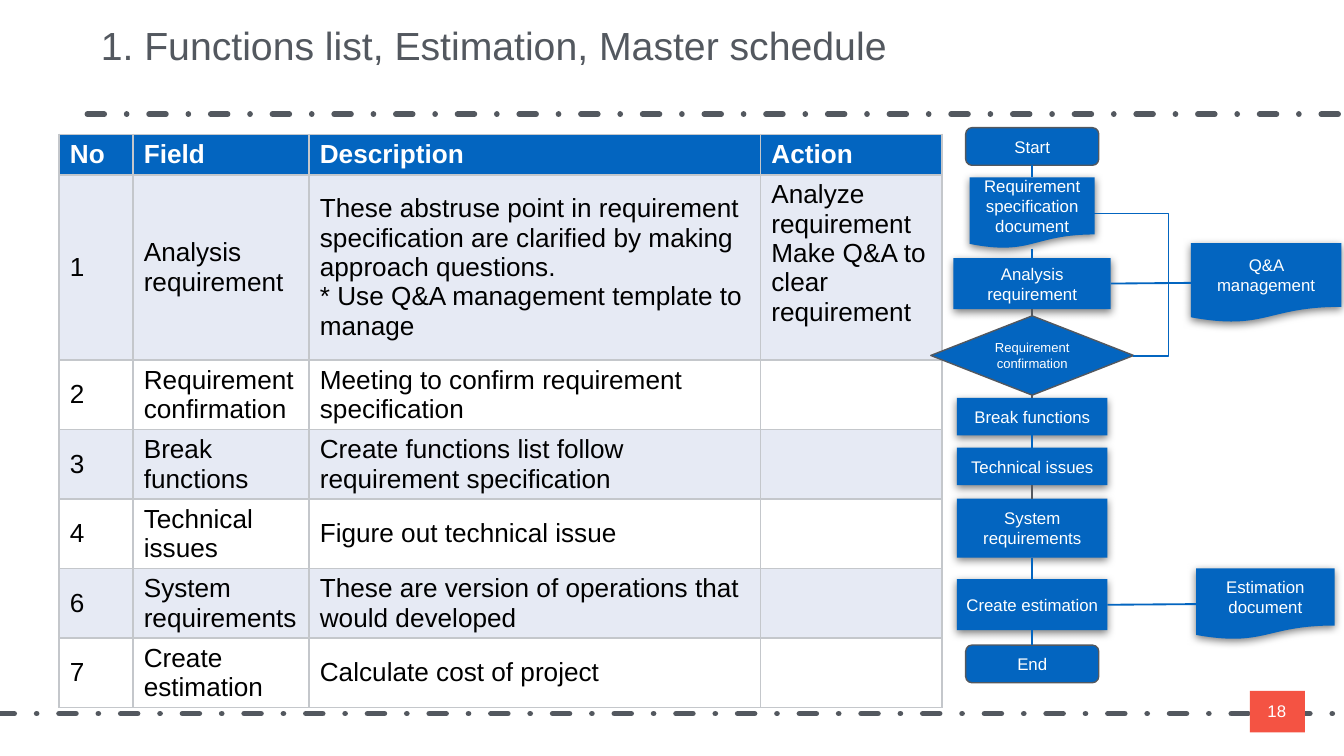
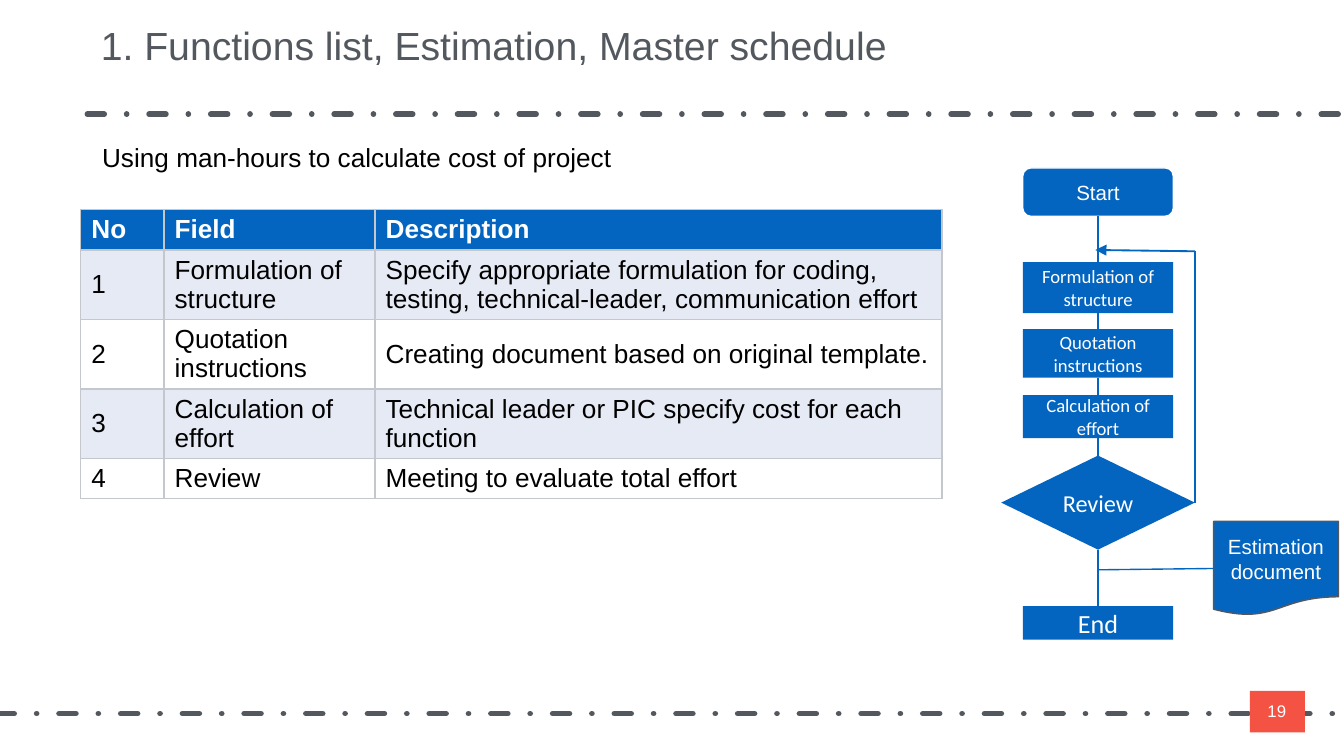
from dataclasses import dataclass
from itertools import pairwise

from lxml.etree import SubElement
from pptx import Presentation
from pptx.dml.color import RGBColor
from pptx.enum.dml import MSO_LINE
from pptx.enum.shapes import MSO_CONNECTOR, MSO_SHAPE
from pptx.enum.text import MSO_ANCHOR, MSO_AUTO_SIZE, PP_ALIGN
from pptx.oxml.ns import qn
from pptx.util import Inches, Pt

BLUE = RGBColor(0x03, 0x65, 0xC0)
GRAY = RGBColor(0x53, 0x58, 0x5F)
RED = RGBColor(0xF4, 0x53, 0x43)
WHITE = RGBColor(0xFF, 0xFF, 0xFF)
BLACK = RGBColor(0x00, 0x00, 0x00)
BAND = RGBColor(0xE6, 0xEA, 0xF4)
BORDER = RGBColor(0xC4, 0xC7, 0xCB)

RECT = MSO_SHAPE.RECTANGLE
ROUNDED = MSO_SHAPE.ROUNDED_RECTANGLE
DOCUMENT = MSO_SHAPE.FLOWCHART_DOCUMENT
DECISION = MSO_SHAPE.FLOWCHART_DECISION
DIAMOND = MSO_SHAPE.DIAMOND
STRAIGHT = MSO_CONNECTOR.STRAIGHT
ELBOW = MSO_CONNECTOR.ELBOW
DASH_DOT = MSO_LINE.DASH_DOT
MIDDLE, ANCHOR_TOP = MSO_ANCHOR.MIDDLE, MSO_ANCHOR.TOP
LEFT, CENTER = PP_ALIGN.LEFT, PP_ALIGN.CENTER
NO_FIT = MSO_AUTO_SIZE.NONE
SIDE_TOP, SIDE_LEFT, SIDE_BOTTOM, SIDE_RIGHT = range(4)

# The slide is a grid of 100 columns; rows are as tall as columns are wide
SLIDE_WIDTH = Inches(10)
SLIDE_HEIGHT = SLIDE_WIDTH * 9 // 16
TITLE_ONLY = 5
TITLE = "1. Functions list, Estimation, Master schedule"


def grid(cells):
    return round(SLIDE_WIDTH * cells / 100)


@dataclass
class Box:
    left: float
    top: float
    width: float
    height: float

    def inner(self, left, top, width, height):
        return Box(self.left + left, self.top + top, width, height)

    def point(self, across, down):
        return self.left + across, self.top + down

    def place(self):
        return [grid(n) for n in (self.left, self.top, self.width, self.height)]


@dataclass
class Look:
    size: float = 9
    font: str = "Arial"
    outline: RGBColor | None = None
    shadow: bool = False


def format_text(frame, size, color, font="Arial", align=LEFT, anchor=MIDDLE,
                insets=(0.07, 0.04)):
    frame.word_wrap = True
    frame.auto_size = NO_FIT
    frame.vertical_anchor = anchor
    frame.margin_left = frame.margin_right = Inches(insets[0])
    frame.margin_top = frame.margin_bottom = Inches(insets[1])
    for para in frame.paragraphs:
        para.alignment = align
        para.font.size = Pt(size)
        para.font.name = font
        para.font.color.rgb = color


def add_text(page, box, text, size, color, **options):
    label = page.shapes.add_textbox(*box.place())
    label.text_frame.text = text
    format_text(label.text_frame, size, color, **options)


def add_block(page, kind, box, fill, outline=None):
    block = page.shapes.add_shape(kind, *box.place())
    block.shadow.inherit = False
    block.fill.solid()
    block.fill.fore_color.rgb = fill
    if outline is None:
        block.line.fill.background()
    else:
        block.line.color.rgb = outline
        block.line.width = Pt(0.75)
    return block


def add_shadow(block):
    effects = block._element.spPr.find(qn("a:effectLst"))
    shadow = SubElement(effects, qn("a:outerShdw"), blurRad=str(Pt(4.5)),
                        dist=str(Pt(1.5)), dir="5400000", rotWithShape="0")
    color = SubElement(shadow, qn("a:srgbClr"), val=str(BLACK))
    SubElement(color, qn("a:alpha"), val="50000")


def add_step(page, kind, box, text, look):
    step = add_block(page, kind, box, BLUE, look.outline)
    if look.shadow:
        add_shadow(step)
    step.text_frame.text = text
    insets = (0.07, 0.07) if look.outline else (0.07, 0.04)
    format_text(step.text_frame, look.size, WHITE, look.font, CENTER, insets=insets)
    return step


def add_line(page, start, end, color=BLUE, width=1, kind=STRAIGHT):
    line = page.shapes.add_connector(kind, *map(grid, (*start, *end)))
    line.line.color.rgb = color
    line.line.width = Pt(width)
    SubElement(line._element.spPr, qn("a:effectLst"))
    return line


def join(page, first, first_side, second, second_side, color=BLUE, width=1):
    line = add_line(page, (0, 0), (0, 0), color, width)
    line.begin_connect(first, first_side)
    line.end_connect(second, second_side)


def add_frame(page, number):
    """Title, dashed rules and page number shared by the slides."""
    title = page.shapes.title
    title.left, title.top, title.width, title.height = Box(6.8, 2.3, 76.1, 3.2).place()
    title.text_frame.text = TITLE
    format_text(title.text_frame, 21, GRAY, insets=(0.07, 0.07))
    title.text_frame.paragraphs[0].line_spacing = 0.6

    for left, row in ((6.5, 8.5), (-0.2, 53.1)):
        rule = add_line(page, (left, row), (99.8, row), GRAY, 3)
        rule.line.dash_style = DASH_DOT
        rule.get_or_add_ln().set("cap", "rnd")

    badge = Box(93, 51.4, 4.1, 3.1)
    add_block(page, RECT, badge, RED)
    add_text(page, badge.inner(0.5, 0.4, 3, 2.2), str(number), 9, WHITE,
             align=CENTER, insets=(0.03, 0.03))


def format_cell(cell, text, row):
    # Borders come before the fill in the cell's properties
    properties = cell._tc.get_or_add_tcPr()
    for side in ("lnL", "lnR", "lnT", "lnB"):
        border = SubElement(properties, qn(f"a:{side}"), w=str(Pt(1)))
        fill = SubElement(border, qn("a:solidFill"))
        SubElement(fill, qn("a:srgbClr"), val=str(BORDER))
    cell.fill.solid()
    cell.fill.fore_color.rgb = BLUE if row == 0 else BAND if row % 2 else WHITE
    cell.margin_left = cell.margin_right = Inches(0.08)
    cell.margin_top = cell.margin_bottom = Inches(0.04)
    cell.vertical_anchor = MIDDLE if row else ANCHOR_TOP
    cell.text_frame.text = text
    for para in cell.text_frame.paragraphs:
        para.font.size = Pt(14)
        para.font.name = "Arial"
        para.font.bold = row == 0
        para.font.color.rgb = BLACK if row else WHITE


def add_grid_table(page, box, columns, heights, rows):
    table = page.shapes.add_table(len(rows), len(columns), *box.place()).table
    for column, width in zip(table.columns, columns):
        column.width = grid(width)
    for index, (height, texts) in enumerate(zip(heights, rows)):
        table.rows[index].height = grid(height)
        for column, text in enumerate(texts):
            format_cell(table.cell(index, column), text, index)
    return table


def add_chain(page, box, center, steps):
    """Steps of a flow centred on one column: kind, text, top, width, height, look."""
    return [add_step(page, kind, box.inner(center - width / 2, top, width, height),
                     text, look)
            for kind, text, top, width, height, look in steps]


def add_functions_flow(page, box):
    shaded = Look(shadow=True)
    outlined = Look(outline=GRAY)
    chain = add_chain(page, box, 7.8, [
        (ROUNDED, "Start", 0, 9.9, 2.8, outlined),
        (DOCUMENT, "Requirement specification document", 3.7, 9.3, 5.3, shaded),
        (RECT, "Analysis requirement", 9.7, 11.7, 3.8, shaded),
        (DECISION, "Requirement\nconfirmation", 14, 15.1, 5.9, Look(7, outline=GRAY)),
        (RECT, "Break functions", 20.1, 11.2, 2.8, shaded),
        (RECT, "Technical issues", 23.8, 11.2, 2.8, shaded),
        (RECT, "System requirements", 27.6, 11.2, 4.4, shaded),
        (RECT, "Create estimation", 33.6, 11.2, 3.8, shaded),
        (ROUNDED, "End", 38.5, 9.9, 2.8, outlined),
    ])
    gray_links = (2, 3, 5)
    for index, (upper, lower) in enumerate(pairwise(chain)):
        color, width = (GRAY, 0.75) if index in gray_links else (BLUE, 1)
        join(page, upper, SIDE_BOTTOM, lower, SIDE_TOP, color, width)

    # Side documents
    questions = add_step(page, DOCUMENT, box.inner(19.6, 8.6, 11.2, 5.9),
                         "Q&A management", shaded)
    estimate = add_step(page, DOCUMENT, box.inner(20, 32.8, 10.3, 5.3),
                        "Estimation document", shaded)
    join(page, chain[2], SIDE_RIGHT, questions, SIDE_LEFT)
    join(page, chain[7], SIDE_RIGHT, estimate, SIDE_LEFT)

    # Return from the decision, bending outside both ends
    back = add_line(page, box.point(15.3, 17), box.point(12.4, 6.4), width=0.75, kind=ELBOW)
    guides = back._element.spPr.find(qn("a:prstGeom")).get_or_add_avLst()
    SubElement(guides, qn("a:gd"), name="adj1", fmla="val -91100")


def add_cost_flow(page, box):
    center = 7.2
    plain = Look(10, "Calibri")
    chain = add_chain(page, box, center, [
        (ROUNDED, "Start", 0, 11.2, 3.6, Look(11, outline=WHITE)),
        (RECT, "Formulation of structure", 7, 11.2, 3.8, plain),
        (RECT, "Quotation instructions", 12, 11.2, 3.6, plain),
        (RECT, "Calculation of effort", 16.9, 11.2, 3.2, plain),
        (DIAMOND, "Review", 21.4, 14.4, 7, Look(13, "Calibri")),
        (RECT, "End", 32.6, 11.2, 2.5, Look(14, "Calibri")),
    ])
    for upper, lower in pairwise(chain):
        join(page, upper, SIDE_BOTTOM, lower, SIDE_TOP)

    # Loop back from the review
    corner = box.point(14.4, 6.2)
    rise = add_line(page, corner, corner)
    rise.begin_connect(chain[4], SIDE_RIGHT)
    arrow = add_line(page, corner, box.point(center - 0.2, 6.1))
    SubElement(arrow.get_or_add_ln(), qn("a:tailEnd"), type="triangle")

    # Resulting document
    estimate = add_step(page, DOCUMENT, box.inner(15.8, 26.3, 9.3, 7),
                        "Estimation document", Look(11, outline=GRAY))
    branch = box.point(center, 29.9)
    link = add_line(page, branch, branch, width=0.75)
    link.begin_connect(estimate, SIDE_LEFT)


def build_functions_page(page):
    add_frame(page, 18)
    rows = [
        ("No", "Field", "Description", "Action"),
        ("1", "Analysis requirement",
         "These abstruse point in requirement specification are clarified by making "
         "approach questions.\n* Use Q&A management template to manage",
         "Analyze requirement\nMake Q&A to clear requirement"),
        ("2", "Requirement confirmation", "Meeting to confirm requirement specification", ""),
        ("3", "Break functions", "Create functions list follow requirement specification", ""),
        ("4", "Technical issues", "Figure out technical issue", ""),
        ("6", "System requirements", "These are version of operations that would developed", ""),
        ("7", "Create estimation", "Calculate cost of project", ""),
    ]
    table = add_grid_table(page, Box(4.4, 10, 65.7, 42.5), (5.5, 13.1, 33.6, 13.5),
                           (3, 13.8, *[5.1] * 5), rows)
    table.cell(1, 3).vertical_anchor = ANCHOR_TOP
    add_functions_flow(page, Box(69, 9.5, 31, 41.5))


def build_cost_page(page):
    add_frame(page, 19)
    rows = [
        ("No", "Field", "Description"),
        ("1", "Formulation of structure",
         "Specify appropriate formulation for coding, testing, technical-leader, "
         "communication effort"),
        ("2", "Quotation instructions", "Creating document based on original template."),
        ("3", "Calculation of effort", "Technical leader or PIC specify cost for each function"),
        ("4", "Review", "Meeting to evaluate total effort"),
    ]
    add_text(page, Box(6.9, 10.1, 63.7, 3), "Using man-hours to calculate cost of project",
             14, BLACK, anchor=ANCHOR_TOP)
    add_grid_table(page, Box(6, 15.6, 64.1, 21.4), (6.2, 15.7, 42.2),
                   (3, *[5.1] * 3, 3), rows)
    add_cost_flow(page, Box(74.5, 12.5, 25.1, 35.1))


def main():
    deck = Presentation()
    deck.slide_width, deck.slide_height = SLIDE_WIDTH, SLIDE_HEIGHT
    for build in (build_functions_page, build_cost_page):
        build(deck.slides.add_slide(deck.slide_layouts[TITLE_ONLY]))
    deck.save("out.pptx")


if __name__ == "__main__":
    main()
